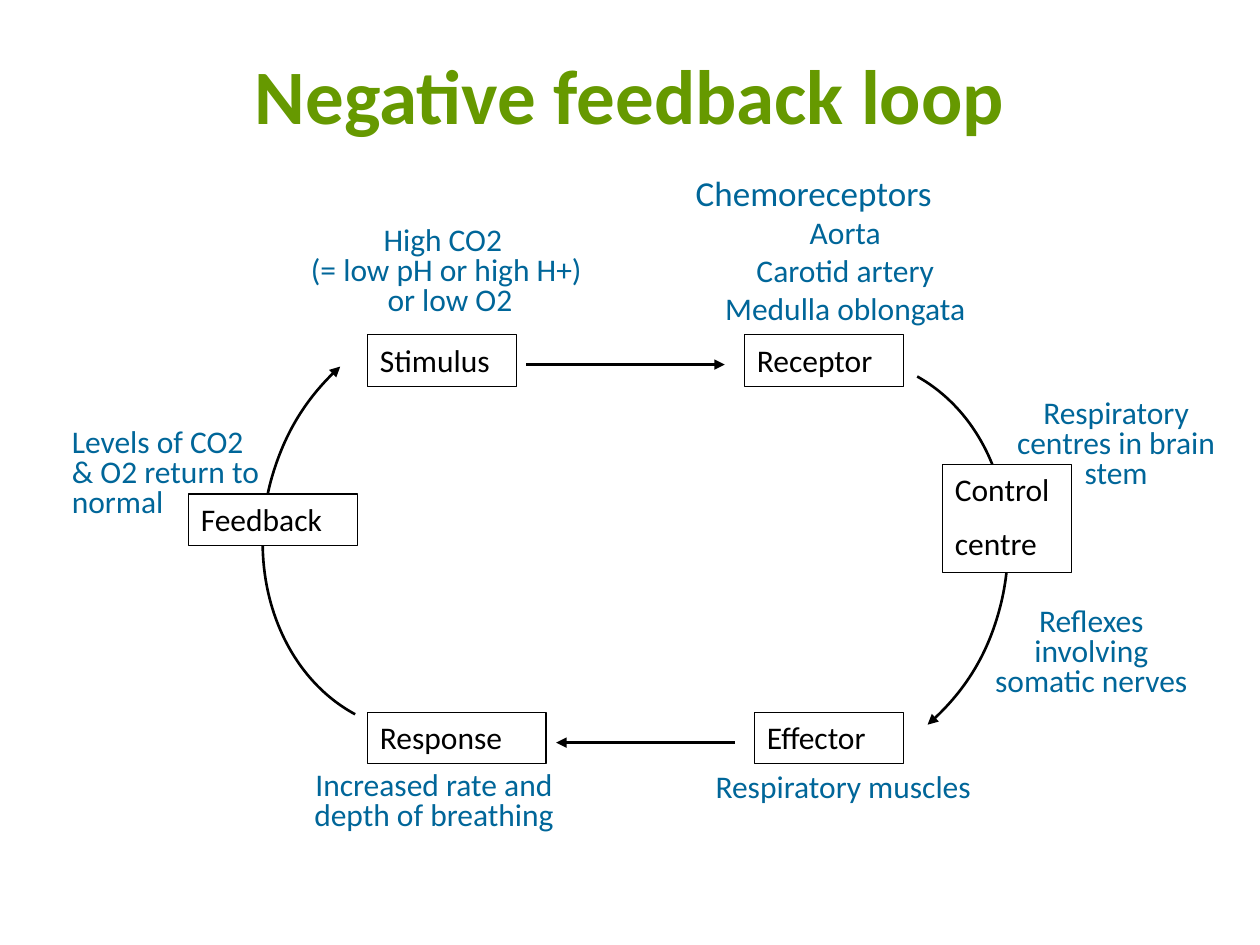
from pptx import Presentation
from pptx.dml.color import RGBColor as Rgb
from pptx.enum.shapes import MSO_CONNECTOR as Link, MSO_SHAPE as Kind
from pptx.enum.text import MSO_ANCHOR as Anchor, PP_ALIGN as Align
from pptx.oxml.ns import qn
from pptx.util import Cm, Pt
from lxml.etree import SubElement as Sub

HUES = {"title": "669900", "note": "006699", "ink": "000000", "paper": "FFFFFF"}
NODES = [
    ("Stimulus", 3.6, 0, 3, 1.05, None),
    ("Receptor", 11.2, 0, 3.2, 1.05, None),
    ("Control\ncentre", 15.19, 2.61, 2.6, 2.18, "paper"),
    ("Effector", 11.4, 7.61, 3, 1.04, None),
    ("Response", 3.6, 7.61, 3.6, 1.04, None),
    ("Feedback", -0.01, 3.21, 3.41, 1.04, "paper"),
]
LINES = [(6.8, 10.8, 0.6), (11, 7.4, 8.22)]
ARCS = [
    [(14.68, 0.84), (16.18, 1.68), (16.86, 3.66), (16.33, 5.57),
     (16.08, 6.48), (15.57, 7.27), (14.89, 7.86)],
    [(3.35, 7.65), (1.85, 6.84), (1.14, 4.85), (1.65, 2.95),
     (1.9, 2.04), (2.39, 1.23), (3.05, 0.64)],
]
NOTES = [
    ("High CO2 \n(= low pH or high H+)\n or low O2", 4.9, 4.45, 8.2, {}),
    ("Respiratory centres in brain stem", 19.8, 7.94, 5.4, {}),
    ("Respiratory muscles", 14.1, 15.34, 5.8, {"pitch": 1.0}),
    ("Increased rate and depth of breathing", 6, 15.44, 5.5, {}),
    ("Levels of CO2 \n& O2 return to normal", 1.2, 8.52, 5.5,
     {"align": Align.LEFT}),
    ("Reflexes involving somatic nerves", 19.6, 12.13, 4.8, {}),
]


def hue(name):
    """Return the named colour."""
    return Rgb.from_string(HUES[name])


def write(frame, text, size=18, color="ink", bold=False, align=Align.LEFT,
          pitch=1.0, gap=0, inset=0, new=True):
    """Add one formatted paragraph to a text frame."""
    frame.word_wrap = True
    para = frame.paragraphs[0] if new else frame.add_paragraph()
    para.text = text
    para.alignment = align
    para.line_spacing = pitch
    if not new:
        para.space_before = Pt(gap)
    if inset:
        para.level = 1
        props = para._p.get_or_add_pPr()
        props.set("marL", str(Cm(inset)))
        props.set("indent", "0")
    for run in para.runs:
        font = run.font
        font.name, font.size, font.bold = "Calibri", Pt(size), bold
        font.color.rgb = hue(color)


def area(slide, left, top, wide, high):
    """Add a text box and return its frame."""
    return slide.shapes.add_textbox(
        Cm(left), Cm(top), Cm(wide), Cm(high)).text_frame


def ink(line, width, arrow=False):
    """Style a line, with an arrowhead at its end if asked."""
    line.color.rgb = hue("ink")
    line.width = Pt(width)
    if arrow:
        Sub(line._get_or_add_ln(), qn("a:tailEnd"), type="triangle")


def curve(slide, spots):
    """Draw an arrow of cubic curves through the given points."""
    first, *rest = [(Cm(x), Cm(y)) for x, y in spots]
    pen = slide.shapes.build_freeform(*first)
    pen.add_line_segments(rest, close=False)
    shape = pen.convert_to_shape()
    shape.shadow.inherit = False
    shape.fill.background()
    ink(shape.line, 1.5, True)
    route = next(shape._element.iter(qn("a:path")))
    steps = route.findall(qn("a:lnTo"))
    for start in range(0, len(steps), 3):
        bend = Sub(route, qn("a:cubicBezTo"))
        for step in steps[start:start + 3]:
            bend.append(step[0])
            route.remove(step)


def node(slide, text, left, top, wide, high, fill):
    """Draw one labelled stage of the loop."""
    shape = slide.shapes.add_shape(
        Kind.RECTANGLE, Cm(left), Cm(top), Cm(wide), Cm(high))
    shape.shadow.inherit = False
    if fill:
        shape.fill.solid()
        shape.fill.fore_color.rgb = hue(fill)
    else:
        shape.fill.background()
    ink(shape.line, 0.75)
    frame = shape.text_frame
    frame.vertical_anchor = Anchor.TOP
    for i, part in enumerate(text.split("\n")):
        write(frame, part, gap=9, new=i == 0)


def title(slide, left, top, wide, high):
    """Place the heading in its box."""
    frame = area(slide, left, top, wide, high)
    frame.vertical_anchor = Anchor.MIDDLE
    write(frame, "Negative feedback loop", size=44, color="title",
          bold=True, align=Align.CENTER)


def loop(slide, left, top):
    """Draw the curves, stages and straight arrows from a corner."""
    for spots in ARCS:
        curve(slide, [(left + x, top + y) for x, y in spots])
    for text, x, y, wide, high, fill in NODES:
        node(slide, text, left + x, top + y, wide, high, fill)
    for start, end, y in LINES:
        link = slide.shapes.add_connector(
            Link.STRAIGHT, Cm(left + start), Cm(top + y),
            Cm(left + end), Cm(top + y))
        ink(link.line, 1.5, True)
        Sub(link._element.spPr, qn("a:effectLst"))


def notes(slide, left, top):
    """Place the remarks around the loop from a corner."""
    for text, x, y, wide, style in NOTES:
        look = {"align": Align.CENTER, "pitch": 0.8, **style}
        write(area(slide, left + x, top + y, wide, 2.08), text,
              color="note", **look)
    frame = area(slide, left + 12.8, top + 3.33, 7.21, 3.4)
    write(frame, "Chemoreceptors", size=20, color="note", align=Align.CENTER)
    for text in ("Aorta", "Carotid artery", "Medulla oblongata"):
        write(frame, text, color="note", align=Align.CENTER, inset=1.27,
              new=False)


def main():
    """Build and save the slide."""
    deck = Presentation()
    deck.slide_width, deck.slide_height = Cm(25.4), Cm(19.05)
    slide = deck.slides.add_slide(deck.slide_layouts[6])
    title(slide, 1.27, 0.76, 22.86, 2.26)
    loop(slide, 3.81, 6.75)
    notes(slide, 0, 0)
    deck.save("out.pptx")


if __name__ == "__main__":
    main()
